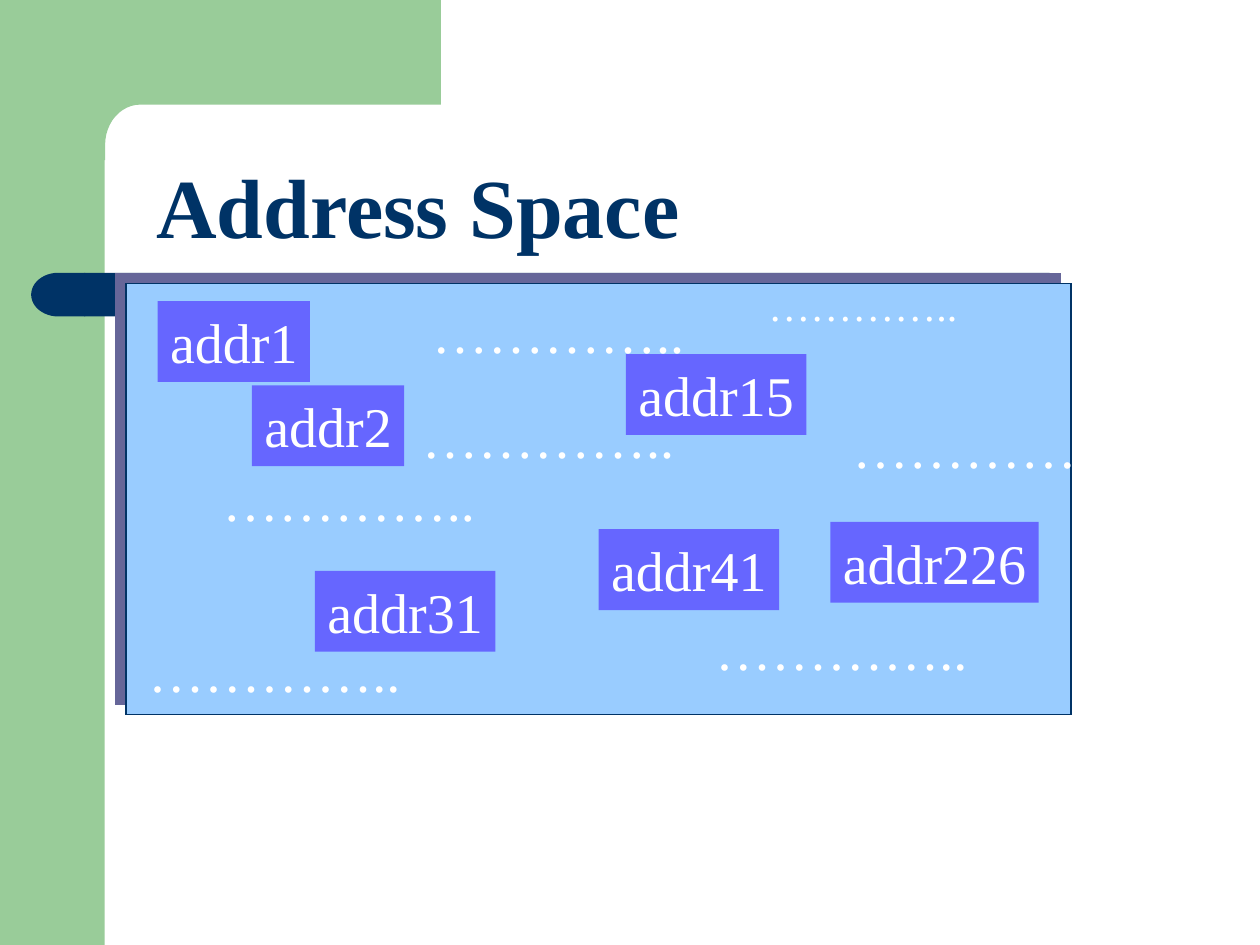
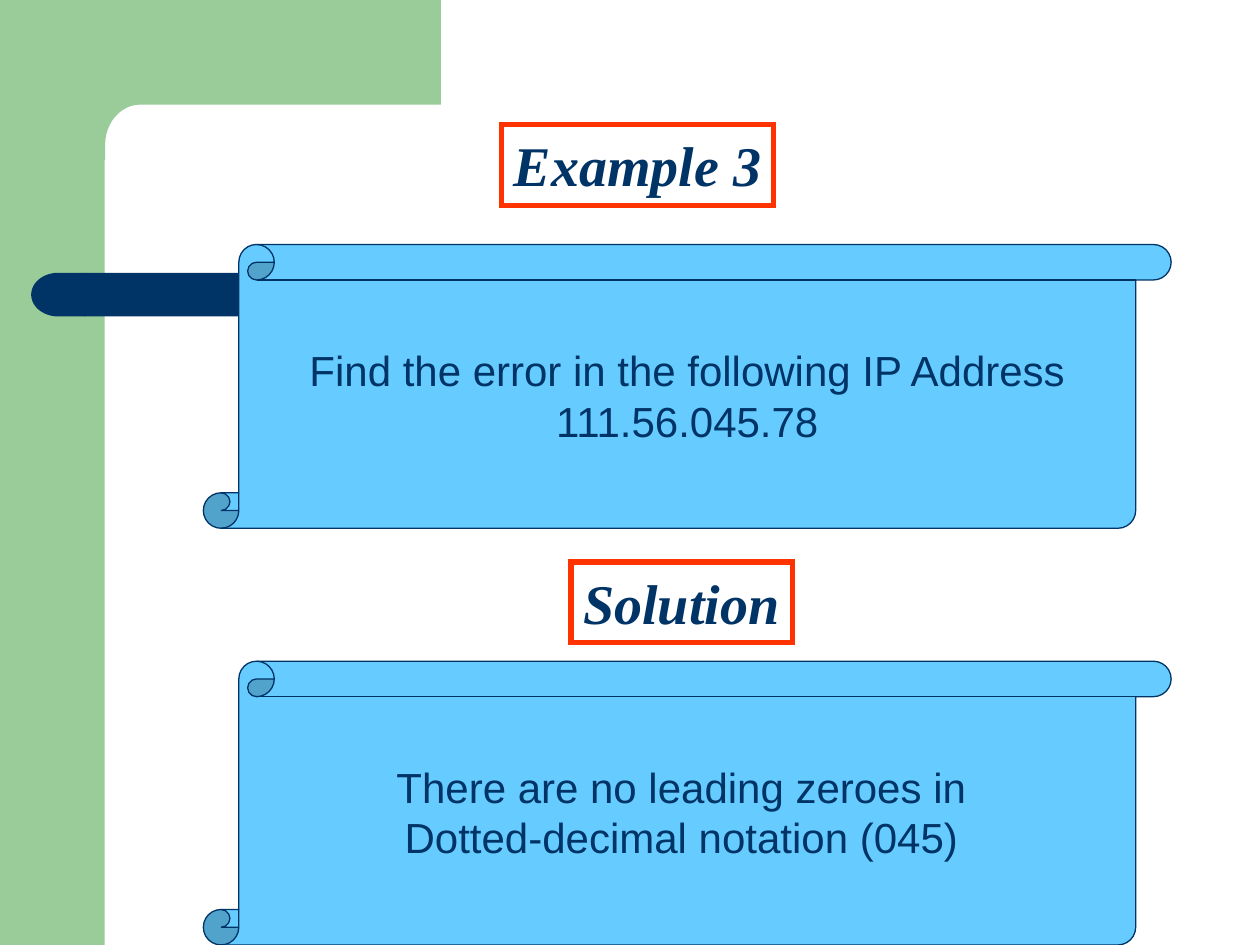
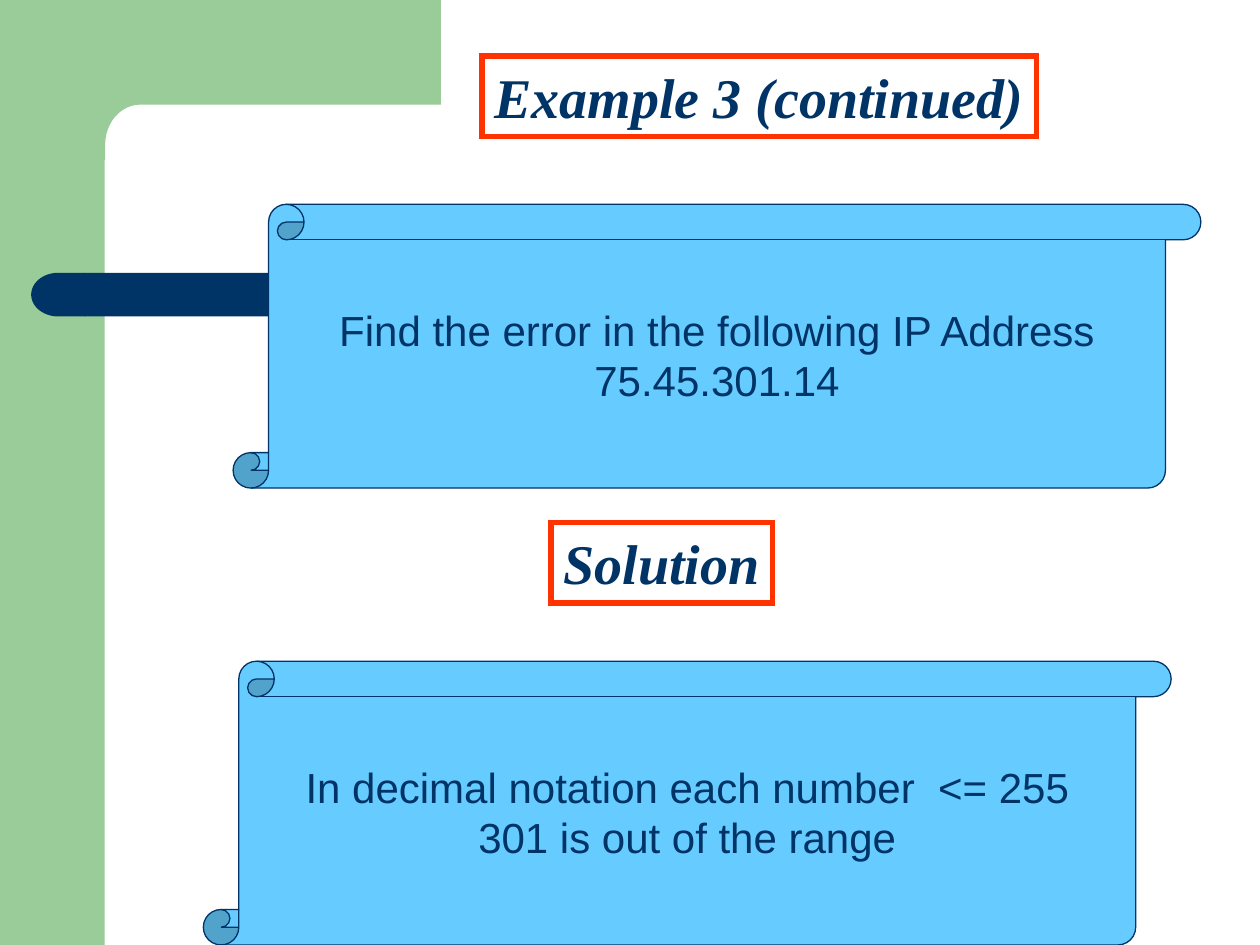
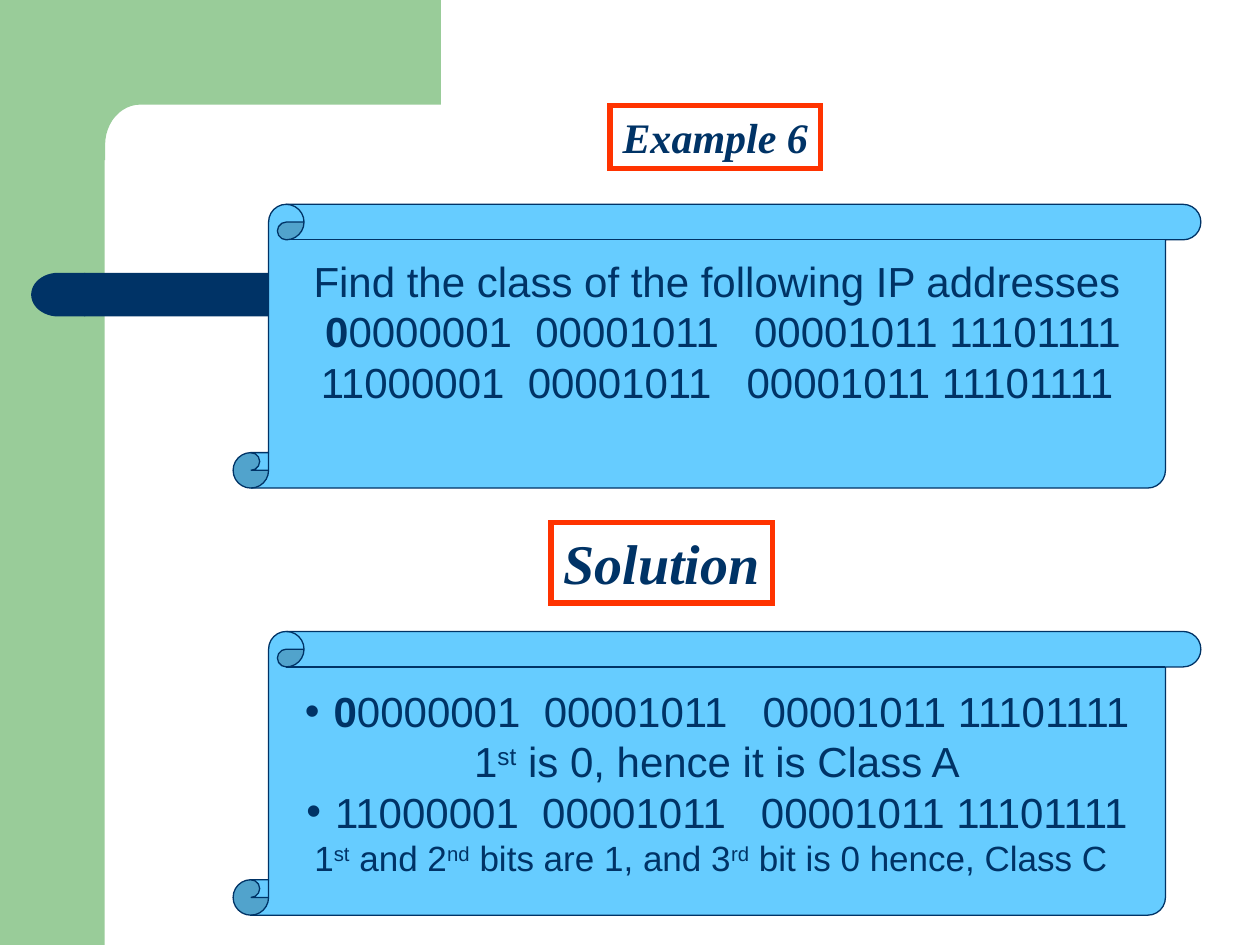
from math import cos, pi, sin

from lxml.etree import SubElement
from pptx import Presentation
from pptx.dml.color import RGBColor
from pptx.enum.shapes import MSO_SHAPE
from pptx.enum.text import MSO_ANCHOR, MSO_AUTO_SIZE, PP_ALIGN
from pptx.oxml.ns import qn
from pptx.util import Cm, Pt

COLORS = {
    "green": "99CC99", "navy": "003366", "panel": "99CCFF", "shadow": "666699",
    "label": "6666FF", "scroll": "66CCFF", "red": "FF3300", "white": "FFFFFF",
}
SERIF, SANS = "Times New Roman", "Arial"
BOX_H = 1.63
SPACE = 667  # width of one 24 pt space, in hundredths of a point

# Address Space slide, positions in cm
PANEL = (2.54, 5.72, 19.05, 8.69)
ADDRESSES = [
    ("addr15", 12.62, 7.14), ("addr1", 3.18, 6.07), ("addr2", 5.08, 7.77),
    ("addr41", 12.07, 10.67), ("addr31", 6.35, 11.51), ("addr226", 16.74, 10.52),
]
ADDRESS_W = {5: 3.07, 6: 3.64, 7: 4.2}  # by number of letters
DOTS = "………….."
DOT_ROWS = [
    (16.94, 8.2, 32), (4.24, 9.25, 32), (8.46, 5.87, 32), (15.24, 5.51, 24),
    (8.26, 7.98, 32), (14.17, 12.27, 32), (2.74, 12.7, 32),
]
DOTS_SIZE = {32: (5.59, BOX_H), 24: (4.32, 1.27)}

# Runs are (text, style) pairs
BOLD, SUP = {"bold": True}, {"baseline": "30000"}


def gap(extra):
    """One space, widened by a number of further spaces."""
    return (" ", {"spc": str(extra * SPACE)})


def octets(first):
    return [*first, gap(1), ("00001011", {}), gap(2), ("00001011 11101111", {})]


CLASS_A = octets([("0", BOLD), ("0000001", {})])
CLASS_C = octets([("11000001", {})])

# Paragraph indents in cm
NUDGE_RIGHT, NUDGE_LEFT = {"marL": 0.24}, {"marR": 0.24}
BULLET = {"marL": 0.58, "indent": -0.58, "bullet": True}

# Headings: text, left, top, width, height, size
# Scrolls: left, top, options, lines; a line is (runs, options)
EXAMPLES = [
    {
        "headings": [("Example 3", 10.11, 2.51, 5.49, BOX_H, 32),
                     ("Solution", 11.51, 11.33, 4.47, BOX_H, 32)],
        "scrolls": [
            (4.1, 4.93, {}, [([("Find the error in the following IP Address", {})], {}),
                             ([("111.56.045.78", {})], {})]),
            (4.1, 13.33, {}, [([("There are no leading zeroes in", {})], NUDGE_LEFT),
                              ([("Dotted-decimal notation (045)", {})], {})]),
        ],
    },
    {
        "headings": [("Example 3 (continued)", 9.72, 1.13, 11.18, BOX_H, 32),
                     ("Solution", 11.11, 10.53, 4.47, BOX_H, 32)],
        "scrolls": [
            (4.7, 4.12, {}, [([("Find the error in the following IP Address", {})], {}),
                             ([("75.45.301.14", {})], {})]),
            (4.1, 13.33, {}, [([("In decimal notation each number", {}), gap(1),
                                ("<= 255", {})], {}),
                              ([("301 is out of the range", {})], {})]),
        ],
    },
    {
        "headings": [("Example 6", 12.3, 2.13, 4.24, 1.27, 24),
                     ("Solution", 11.11, 10.53, 4.47, BOX_H, 32)],
        "scrolls": [
            (4.7, 4.12, {"bottom": 1.1},
             [([("Find the class of the following IP addresses", {})], {}),
              (CLASS_A, NUDGE_RIGHT), (CLASS_C, {})]),
            (4.7, 12.73, {},
             [(CLASS_A, BULLET),
              ([("1", {}), ("st", SUP), (" is 0, hence it is Class A", {})], {}),
              (CLASS_C, BULLET),
              ([("1", {}), ("st", SUP), (" and 2", {}), ("nd", SUP),
                (" bits are 1, and 3", {}), ("rd", SUP),
                (" bit is 0 hence, Class C", {})], {"size": 20, **NUDGE_LEFT})]),
        ],
    },
]


def rgb(name):
    return RGBColor.from_string(COLORS[name])


def paint(sp, fill, line=None, width=0.75):
    sp.shadow.inherit = False
    sp.fill.solid()
    sp.fill.fore_color.rgb = rgb(fill)
    if line:
        sp.line.color.rgb = rgb(line)
        sp.line.width = Pt(width)
        SubElement(sp.element.spPr.find(qn("a:ln")), qn("a:miter"), lim="800000")
    else:
        sp.line.fill.background()
    return sp


def add_box(slide, kind, box, *style):
    return paint(slide.shapes.add_shape(kind, *map(Cm, box)), *style)


def format_line(p, line):
    """Centre a paragraph and set its indents and bullet."""
    p.alignment = PP_ALIGN.CENTER
    pPr = p._p.get_or_add_pPr()
    for name in ("marL", "marR", "indent"):
        if name in line:
            pPr.set(name, str(Cm(line[name])))
    if line.get("bullet"):
        color = SubElement(pPr, qn("a:buClr"))
        SubElement(color, qn("a:srgbClr"), val=COLORS["navy"])
        SubElement(pPr, qn("a:buFont"), typeface=SANS)
        SubElement(pPr, qn("a:buChar"), char="•")


def add_run(p, text, style, font, size, color, bold=False, italic=False):
    r = p.add_run()
    r.text = text
    r.font.name, r.font.size = font, Pt(size)
    r.font.bold, r.font.italic = style.get("bold", bold), italic
    r.font.color.rgb = rgb(color)
    for name in ("baseline", "spc"):
        if name in style:
            r._r.get_or_add_rPr().set(name, style[name])


def put_label(sp, text, *font):
    """Single line at the top left, in a box that fits its text."""
    tf = sp.text_frame
    tf.word_wrap = False
    tf.auto_size = MSO_AUTO_SIZE.SHAPE_TO_FIT_TEXT
    tf.vertical_anchor = MSO_ANCHOR.TOP
    tf.margin_right = Cm(0.15)
    p = tf.paragraphs[0]
    p.alignment = PP_ALIGN.LEFT
    add_run(p, text, {}, *font)


def add_scroll(slide, left, top, options, lines):
    sp = add_box(slide, MSO_SHAPE.VERTICAL_SCROLL, (left, top, 19.51, 5.72),
                 "scroll", "navy")
    tf = sp.text_frame
    tf.word_wrap = False
    tf.vertical_anchor = MSO_ANCHOR.MIDDLE
    tf.margin_bottom = Cm(options.get("bottom", 0.13))
    for i, (runs, line) in enumerate(lines):
        p = tf.add_paragraph() if i else tf.paragraphs[0]
        format_line(p, line)
        for text, style in runs:
            add_run(p, text, style, SANS, line.get("size", 24), "navy")


def decorate(layout, slide):
    """Draw the green frame and navy bar, then move them to the shared layout."""
    for ph in list(layout.placeholders):
        ph.element.getparent().remove(ph.element)
    side = add_box(slide, MSO_SHAPE.RECTANGLE, (0, 0, 2.11, 19.05), "green")
    arc = [(2.83 - 0.71 * sin(a), 2.92 - 0.81 * cos(a))
           for a in (pi / 2 * i / 12 for i in range(13))]
    outline = [(8.89, 2.11), *arc, (2.12, 3.23), (1.27, 3.23), (1.27, 0)]
    builder = slide.shapes.build_freeform(Cm(8.89), 0)
    builder.add_line_segments([(Cm(x), Cm(y)) for x, y in outline], close=True)
    corner = paint(builder.convert_to_shape(), "green")
    bar = add_box(slide, MSO_SHAPE.RECTANGLE, (1.7, 5.5, 19.46, 0.88), "navy")
    cap = add_box(slide, MSO_SHAPE.FLOWCHART_DELAY, (0.63, 5.5, 1.09, 0.88), "navy")
    cap.element.spPr.get_or_add_xfrm().set("flipH", "1")
    for sp in (side, corner, bar, cap):
        layout.shapes.element.append(sp.element)


def add_address_space(slide):
    panel = add_box(slide, MSO_SHAPE.RECTANGLE, PANEL, "panel", "navy")
    effects = panel.element.spPr.find(qn("a:effectLst"))
    shadow = SubElement(effects, qn("a:outerShdw"), dist=str(Pt(8.5)),
                        dir=str(225 * 60000), algn="ctr", rotWithShape="0")
    SubElement(shadow, qn("a:srgbClr"), val=COLORS["shadow"])
    title = slide.shapes.add_textbox(Cm(2.9), Cm(3), Cm(11.07), Cm(2.29))
    put_label(title, "Address Space", SERIF, 48, "navy", True)
    for text, left, top in ADDRESSES:
        sp = add_box(slide, MSO_SHAPE.RECTANGLE,
                     (left, top, ADDRESS_W[len(text)], BOX_H), "label")
        put_label(sp, text, SERIF, 32, "white")
    for left, top, size in DOT_ROWS:
        sp = slide.shapes.add_textbox(*map(Cm, (left, top, *DOTS_SIZE[size])))
        put_label(sp, DOTS, SERIF, size, "white")


def add_example(slide, example):
    for text, *box, size in example["headings"]:
        sp = add_box(slide, MSO_SHAPE.RECTANGLE, box, "white", "red", 3)
        put_label(sp, text, SERIF, size, "navy", True, True)
    for scroll in example["scrolls"]:
        add_scroll(slide, *scroll)


def main():
    prs = Presentation()
    prs.slide_width, prs.slide_height = Cm(25.4), Cm(19.05)
    blank = prs.slide_layouts[6]
    slide = prs.slides.add_slide(blank)
    decorate(blank, slide)
    add_address_space(slide)
    for example in EXAMPLES:
        add_example(prs.slides.add_slide(blank), example)
    prs.save("out.pptx")


if __name__ == "__main__":
    main()
